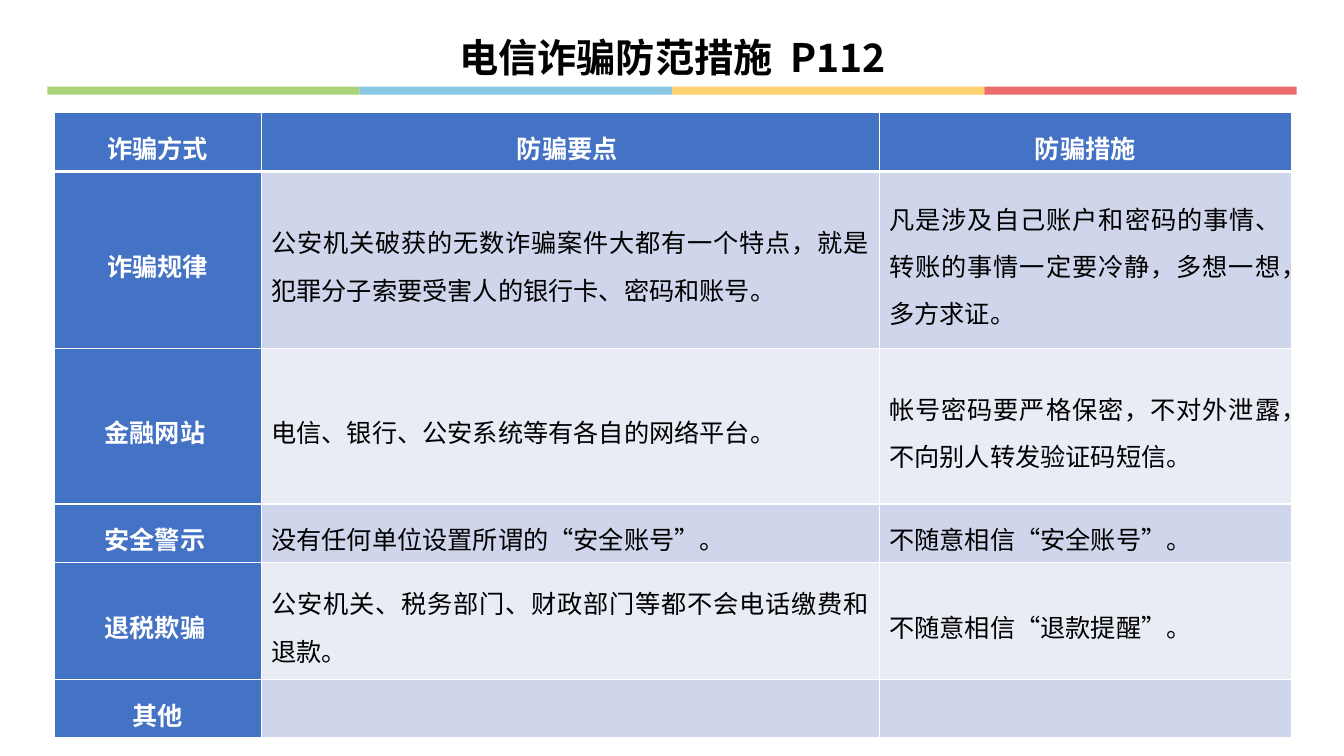
from typing import NamedTuple

from lxml.etree import SubElement
from pptx import Presentation
from pptx.dml.color import RGBColor
from pptx.enum.shapes import MSO_SHAPE
from pptx.enum.text import MSO_ANCHOR, PP_ALIGN
from pptx.oxml.ns import qn
from pptx.util import Inches, Pt

FONT = "Noto Sans CJK SC"
WHITE, BLACK, BLUE = "FFFFFF", "000000", "4472C4"
BANDS = ("CFD5EA", "E9EBF5")
STRIPES = ("A8D37A", "87C7E3", "FED16C", "ED6B6D")
COLS = (2.05, 6.13, 4.09)


class Row(NamedTuple):
    high: float
    way: str
    point: str
    step: str


ROWS = (
    Row(0.58, "诈骗方式", "防骗要点 ", "防骗措施"),
    Row(1.76, "诈骗规律",
        "公安机关破获的无数诈骗案件大都有一个特点，就是犯罪分子索要受害人的银行卡、密码和账号。",
        "凡是涉及自己账户和密码的事情、转账的事情一定要冷静，多想一想，多方求证。"),
    Row(1.54, "金融网站 ", "电信、银行、公安系统等有各自的网络平台。",
        "帐号密码要严格保密，不对外泄露，不向别人转发验证码短信。"),
    Row(0.58, "安全警示 ", "没有任何单位设置所谓的“安全账号”。", "不随意相信“安全账号”。"),
    Row(1.16, "退税欺骗 ", "公安机关、税务部门、财政部门等都不会电话缴费和退款。",
        "不随意相信“退款提醒”。"),
    Row(0.58, "其他", "", ""),
)


def paint(fill, color: str) -> None:
    fill.solid()
    fill.fore_color.rgb = RGBColor.from_string(color)


def add_run(para, text: str, size: float, color: str, bold: bool):
    run = para.add_run()
    run.text = text
    font = run.font
    font.size, font.bold, font.name = Pt(size), bold, FONT
    paint(font.fill, color)
    props = font._element
    props.set("lang", "zh-CN")
    SubElement(props, qn("a:ea"), typeface=FONT)
    return run


def add_title(slide) -> None:
    title = slide.shapes.title
    title.left, title.top = Inches(4.37), Inches(0.33)
    title.width, title.height = Inches(4.6), Inches(0.47)
    frame = title.text_frame
    frame.margin_left = frame.margin_right = 0
    frame.margin_top = frame.margin_bottom = 0
    frame.vertical_anchor = MSO_ANCHOR.MIDDLE
    frame.word_wrap = True
    para = frame.paragraphs[0]
    para.alignment = PP_ALIGN.CENTER
    add_run(para, "电信诈骗防范措施", 28, BLACK, True)
    gap = add_run(para, " ", 28, BLACK, True)
    gap.font._element.set("spc", "630")
    add_run(para, "P112", 28, BLACK, True)


def add_stripes(slide) -> None:
    wide = 12.39 / len(STRIPES)
    for i, color in enumerate(STRIPES):
        bar = slide.shapes.add_shape(
            MSO_SHAPE.RECTANGLE, Inches(0.47 + i * wide), Inches(0.86),
            Inches(wide), Inches(0.08))
        bar.shadow.inherit = False
        paint(bar.fill, color)
        bar.line.fill.background()


def add_edges(cell, top: float, low: float) -> None:
    """Draw white borders, with top and bottom widths in points."""
    props = cell._tc.get_or_add_tcPr()
    for side, width in (("L", 1), ("R", 1), ("T", top), ("B", low)):
        line = SubElement(props, qn(f"a:ln{side}"), w=str(Pt(width)))
        fill = SubElement(line, qn("a:solidFill"))
        SubElement(fill, qn("a:srgbClr"), val=WHITE)


def fill_cell(cell, text: str, row: int, col: int) -> None:
    head = row == 0 or col == 0
    add_edges(cell, 3 if row == 1 else 1, 3 if row == 0 else 1)
    paint(cell.fill, BLUE if head else BANDS[(row - 1) % 2])
    cell.vertical_anchor = MSO_ANCHOR.MIDDLE
    if not text:
        return
    para = cell.text_frame.paragraphs[0]
    para.alignment = PP_ALIGN.CENTER if head else PP_ALIGN.JUSTIFY
    para.line_spacing = 1.3
    add_run(para, text, 18, WHITE if head else BLACK, head)


def add_grid(slide) -> None:
    table = slide.shapes.add_table(
        len(ROWS), len(COLS), Inches(0.54), Inches(1.12),
        Inches(sum(COLS)), Inches(sum(row.high for row in ROWS))).table
    for col, wide in zip(table.columns, COLS):
        col.width = Inches(wide)
    for r, row in enumerate(ROWS):
        table.rows[r].height = Inches(row.high)
        for c, text in enumerate((row.way, row.point, row.step)):
            fill_cell(table.cell(r, c), text, r, c)


def main() -> None:
    deck = Presentation()
    deck.slide_width, deck.slide_height = Inches(13.33), Inches(7.5)
    slide = deck.slides.add_slide(deck.slide_layouts[5])
    paint(slide.background.fill, WHITE)
    add_stripes(slide)
    add_title(slide)
    add_grid(slide)
    deck.save("out.pptx")


if __name__ == "__main__":
    main()
